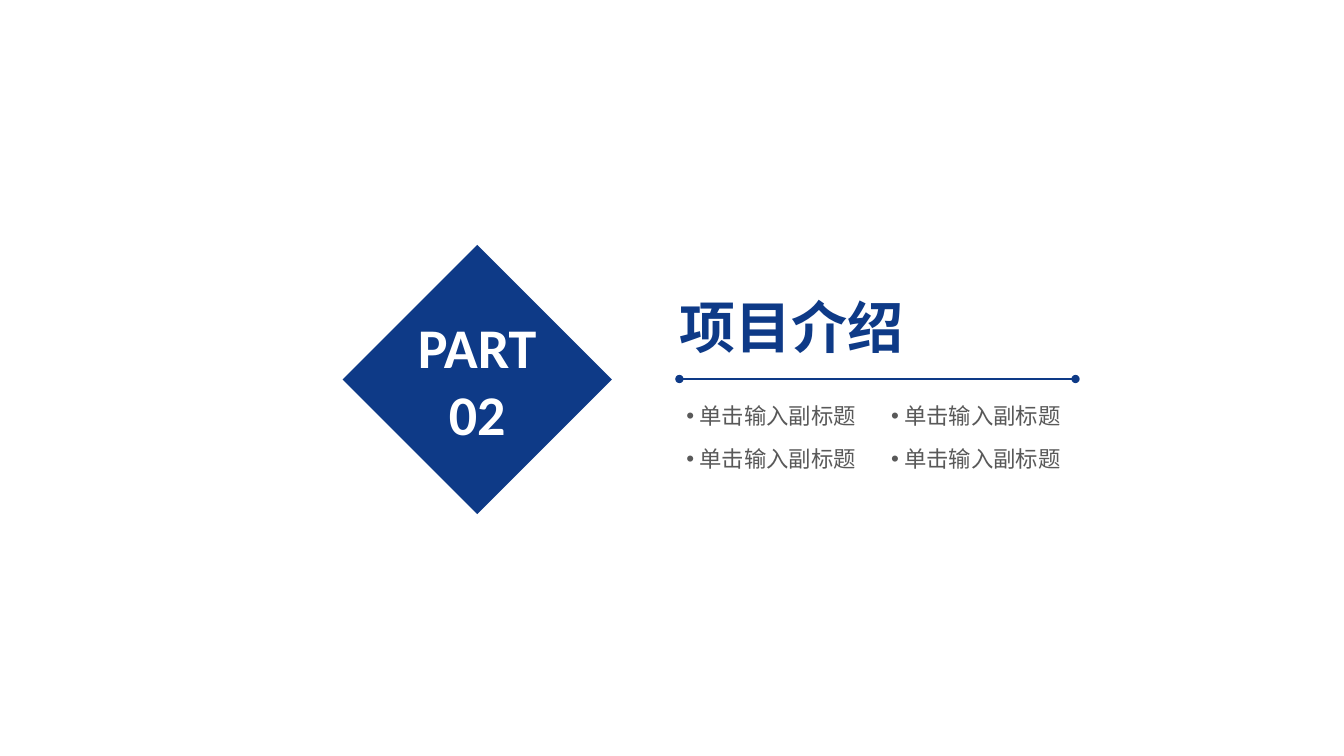
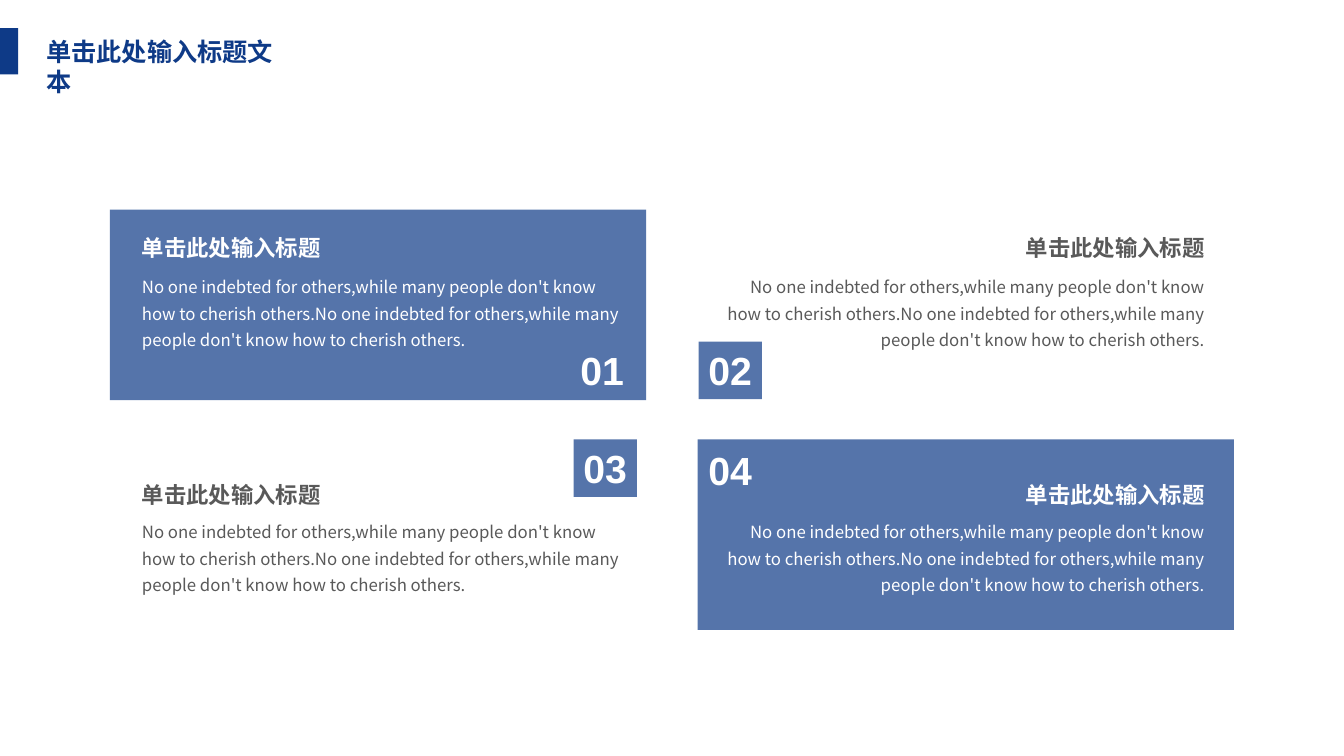
from lxml import etree
from pptx import Presentation
from pptx import util as u
from pptx.dml.color import RGBColor
from pptx.enum import shapes, text
from pptx.oxml import ns

NAVY = RGBColor(0x0E, 0x3A, 0x87)
GREY = RGBColor(0x59, 0x59, 0x59)
WHITE = RGBColor(0xFF, 0xFF, 0xFF)
CJK = "Noto Sans CJK SC"
LEFT, CENTER, RIGHT = text.PP_ALIGN.LEFT, text.PP_ALIGN.CENTER, text.PP_ALIGN.RIGHT

# Text styles
PART = {"name": "Calibri", "size": u.Pt(40), "bold": True}
SECTION_TITLE = {"name": CJK, "size": u.Pt(40), "bold": True}
SUBTITLE = {"name": "Arial", "size": u.Pt(16), "bold": False}
PAGE_TITLE = {"name": CJK, "size": u.Pt(18), "bold": True}
NUMBER = {"name": "Arial", "size": u.Pt(28), "bold": True}
HEADING = {"name": CJK, "size": u.Pt(16), "bold": True}
BODY = {"name": CJK, "size": u.Pt(12), "bold": False}

# Every length is counted in cells of a square grid, ten cells to the inch
CELL = u.Inches(0.1)


def area(*cells):
    """Turn grid cells into whole EMU lengths."""
    return [round(n * CELL) for n in cells]


def write(shape, lines, style, color, align=LEFT, insets=(1, 0.5), wrap=True,
          anchor=text.MSO_ANCHOR.TOP, spacing=None):
    """Fill a shape with one paragraph per line, all in one style."""
    frame = shape.text_frame
    side, end = area(*insets)
    frame_format = {"margin_left": side, "margin_right": side,
                    "margin_top": end, "margin_bottom": end, "word_wrap": wrap,
                    "auto_size": text.MSO_AUTO_SIZE.NONE, "vertical_anchor": anchor}
    for key, value in frame_format.items():
        setattr(frame, key, value)
    frame.text = "\n".join(lines)
    for paragraph in frame.paragraphs:
        paragraph.alignment = align
        paragraph.line_spacing = spacing
        font = paragraph.runs[0].font
        for key, value in style.items():
            setattr(font, key, value)
        font.color.rgb = color
        # East Asian glyphs take their typeface from a separate element
        etree.SubElement(paragraph.runs[0]._r.get_or_add_rPr(), ns.qn("a:ea"), typeface=CJK)


deck = Presentation()
deck.slide_width, deck.slide_height = area(133.33, 75)
title_only = deck.slide_layouts[5]
section, content = [deck.slides.add_slide(title_only) for _ in range(2)]

# Shared title style and the solid navy shape beside each title
RECT, DIAMOND = shapes.MSO_SHAPE.RECTANGLE, shapes.MSO_SHAPE.DIAMOND
heads = [
    (section, "项目介绍", SECTION_TITLE, (67.4, 29, 27.7, 6.7), (0, 0),
     DIAMOND, (34, 24.3, 26.7, 26.7)),
    (content, "单击此处输入标题文本", PAGE_TITLE, (3.8, 3.2, 26.5, 3.8), (0.8, 0.4),
     RECT, (0, 2.8, 1.8, 4.6)),
]
markers = []
for slide, words, style, title_cells, insets, outline, marker_cells in heads:
    title = slide.shapes.title
    title.left, title.top, title.width, title.height = area(*title_cells)
    write(title, [words], style, NAVY, insets=insets)
    marker = slide.shapes.add_shape(outline, *area(*marker_cells))
    marker.fill.solid()
    marker.fill.fore_color.rgb = NAVY
    marker.line.fill.background()
    marker.shadow.inherit = False
    markers.append(marker)

# Section slide
write(markers[0], ["PART", "02"], PART, WHITE, CENTER, insets=(0, 0), wrap=False,
      anchor=text.MSO_ANCHOR.MIDDLE)

rule = section.shapes.add_connector(shapes.MSO_CONNECTOR.STRAIGHT,
                                    *area(67.4, 37.6, 106.7, 37.6))
rule.line.color.rgb = NAVY
rule.line.width = u.Pt(1)
for end in ("a:headEnd", "a:tailEnd"):
    etree.SubElement(rule.line._get_or_add_ln(), ns.qn(end), type="oval")
etree.SubElement(rule._element.spPr, ns.qn("a:effectLst"))

for row in range(2):
    for column in range(2):
        subtitle = section.shapes.add_textbox(
            *area(67.4 + 20.3 * column, 39.5 + 4.3 * row, 19, 3.4))
        write(subtitle, ["单击输入副标题"], SUBTITLE, GREY, insets=(0.7, 0.4))
        bullet_format = subtitle.text_frame.paragraphs[0]._p.get_or_add_pPr()
        indent = area(1.3)[0]
        bullet_format.set("marL", str(indent))
        bullet_format.set("indent", str(-indent))
        etree.SubElement(bullet_format, ns.qn("a:buFont"), typeface="Arial")
        etree.SubElement(bullet_format, ns.qn("a:buChar"), char="•")

# Content slide: a two by two grid, with filled cards on one diagonal
# and filled number tiles on the other
QUOTE = ("No one indebted for others,while many people don't know how to cherish others."
         "No one indebted for others,while many people don't know how to cherish others.")
CARD = (53.2, 18.9)
TILE = (6.3, 5.7)
TEXT_WIDTH, HEADING_WIDTH = 50, 19.8
columns = [(10.9, 13.1, LEFT), (69.2, 70.5, RIGHT)]   # card left, text left, alignment
rows = [(20.8, 22.7, 26.4), (43.6, 47.2, 50.7)]       # card, heading and body top
tiles = {"01": (56.6, 33.9), "02": (69.3, 33.9), "03": (56.9, 43.6), "04": (69.3, 43.8)}

for index, (number, tile) in enumerate(tiles.items()):
    row, column = divmod(index, 2)
    card_left, text_left, align = columns[column]
    card_top, heading_top, body_top = rows[row]
    card_filled = row == column
    color = WHITE if card_filled else GREY

    panel_cells = (card_left, card_top, *CARD) if card_filled else (*tile, *TILE)
    panel = content.shapes.add_shape(RECT, *area(*panel_cells))
    panel.fill.solid()
    panel.fill.fore_color.rgb = NAVY
    tint = panel._element.spPr.find(".//" + ns.qn("a:srgbClr"))
    etree.SubElement(tint, ns.qn("a:alpha"), val="70000")
    panel.line.fill.background()
    panel.shadow.inherit = False

    label = content.shapes.add_textbox(*area(*tile, *TILE)) if card_filled else panel
    write(label, [number], NUMBER, WHITE, wrap=False)

    heading_left = text_left + (TEXT_WIDTH - HEADING_WIDTH if align == RIGHT else 0)
    heading = content.shapes.add_textbox(*area(heading_left, heading_top, HEADING_WIDTH, 3.7))
    write(heading, ["单击此处输入标题"], HEADING, color, align, wrap=False)
    body = content.shapes.add_textbox(*area(text_left, body_top, TEXT_WIDTH, 8.9))
    write(body, [QUOTE], BODY, color, align, spacing=1.3)

deck.save("out.pptx")
